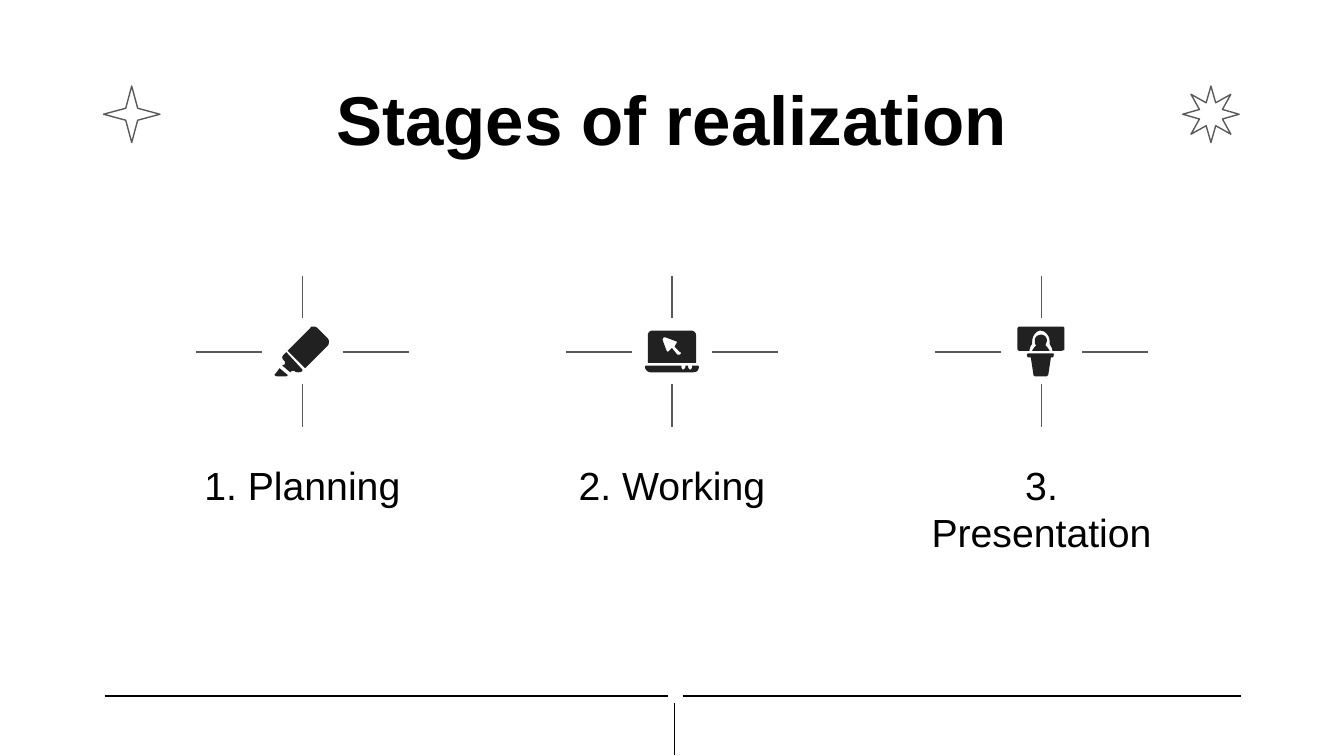
from pptx import Presentation
from pptx.dml.color import RGBColor
from pptx.enum.shapes import MSO_CONNECTOR, MSO_SHAPE
from pptx.enum.text import MSO_ANCHOR, MSO_AUTO_SIZE, PP_ALIGN
from pptx.oxml.ns import qn
from pptx.util import Inches, Pt
from lxml.etree import SubElement

BLACK = RGBColor(0x00, 0x00, 0x00)
GRAY = RGBColor(0x59, 0x59, 0x59)
INK = RGBColor(0x21, 0x21, 0x21)

MID, PITCH, HUB_Y = 5, 2.75, 2.62

# Outlines in 1/100 inch from the hub: "x,y" is a corner, six numbers
# are a Bezier curve, "|" starts another contour.
PEN = [
    "8,-19 7,-19,6,-19,6,-18 -11,-1 2,12 19,-5 20,-6,20,-9,19,-10 11,-18 "
    "10,-19,9,-19,8,-19",
    "-12,0 -13,1 -14,2,-15,3,-15,4 -15,5,-14,6,-13,7 -13,7,-13,8,-13,9 -15,10 "
    "-9,15 -8,14 -6,14 -5,15,-4,15,-3,15 -2,15,-1,15,0,14 0,13",
    "-17,12 -20,16 -21,16,-21,18,-19,18 -12,18 -12,18,-11,18,-11,17",
]
LAPTOP = [
    "-19,10 -20,10,-20,11,-20,11 -20,13,-18,15,-16,15 16,15 18,15,20,14,20,11 "
    "20,11,20,10,19,10 15,10 15,11 15,12,14,13,14,13 13,13,12,12,12,11 12,10 "
    "10,10 10,11 10,12,9,13,8,13 8,13,7,12,7,11 7,10",
    "-6,-11 -5,-11 3,-8 4,-8,4,-7,3,-6 2,-4 6,0 7,0,7,1,6,2 5,2 4,2 0,-3 -2,-1 "
    "-2,-1,-3,0,-3,0 -3,0,-4,-1,-4,-1 -7,-9 -7,-10,-6,-11,-6,-11 | "
    "-14,-16 -16,-16,-18,-15,-18,-12 -18,8 18,8 18,-12 18,-15,16,-16,14,-16",
]
SPEAKER = [
    "-10,1 -10,1,-11,2,-11,2 -11,3,-10,4,-10,4 -8,4 -6,17 -6,17,-6,18,-5,18 "
    "4,18 4,18,5,17,5,17 7,4 8,4 9,4,9,3,9,2 10,2,9,1,8,1",
    "-17,-19 -18,-18 -18,-2 -17,-1 -9,-1 -9,-3,-8,-5,-7,-6 -7,-8 "
    "-7,-12,-4,-16,-1,-16 3,-16,6,-12,6,-8 6,-6 7,-4,8,-3,8,-1 15,-1 "
    "16,-1,17,-2,17,-2 17,-18 16,-19",
    "0,-13 -3,-13,-5,-11,-5,-9 -5,-7,-5,-6,-4,-5 -5,-4,-6,-3,-7,-1 6,-1 "
    "5,-3,4,-4,3,-5 3,-6,4,-7,4,-9 4,-11,2,-13,0,-13",
]
STAGES = [("1. Planning", PEN), ("2. Working", LAPTOP),
          ("3. Presentation", SPEAKER)]


def add_line(shapes, x1, y1, x2, y2, color):
    line = shapes.add_connector(MSO_CONNECTOR.STRAIGHT, Inches(x1), Inches(y1),
                                Inches(x2), Inches(y2))
    line.line.color.rgb = color
    line.line.width = Pt(0.75)
    SubElement(line._element.spPr, qn("a:effectLst"))


def add_star(shapes, kind, x, ratio):
    star = shapes.add_shape(kind, Inches(x), Inches(0.64),
                            Inches(0.42), Inches(0.42))
    star.adjustments[0] = ratio
    star.shadow.inherit = False
    star.fill.background()
    star.line.color.rgb = GRAY
    star.line.width = Pt(0.75)


def set_text(holder, text, x, y, w, h, size, bold=False):
    holder.left, holder.top = Inches(x), Inches(y)
    holder.width, holder.height = Inches(w), Inches(h)
    frame = holder.text_frame
    frame.text = text
    frame.word_wrap = False
    frame.auto_size = MSO_AUTO_SIZE.NONE
    frame.vertical_anchor = MSO_ANCHOR.TOP
    frame.margin_left = frame.margin_right = 0
    frame.margin_top = frame.margin_bottom = 0
    para = frame.paragraphs[0]
    para.alignment = PP_ALIGN.CENTER
    para.space_before = Pt(0)
    para.line_spacing = 1.0
    # No bullet and no indent
    props = para._p.get_or_add_pPr()
    props.set("marL", "0")
    props.set("indent", "0")
    SubElement(props, qn("a:buNone"))
    font = para.runs[0].font
    font.name, font.size, font.bold = "Arial", Pt(size), bold
    font.color.rgb = BLACK


def trace(contour, x, y):
    """Turn one contour into points, with curves cut into short steps."""
    points = []
    for token in contour.split():
        nums = [float(n) / 100 for n in token.split(",")]
        pairs = list(zip(nums[::2], nums[1::2]))
        if len(pairs) == 1:
            points += pairs
            continue
        curve = [points[-1]] + pairs
        for step in range(1, 7):
            t = step / 6
            mix = ((1 - t) ** 3, 3 * t * (1 - t) ** 2, 3 * t * t * (1 - t), t ** 3)
            points.append(tuple(sum(m * p[axis] for m, p in zip(mix, curve))
                                for axis in (0, 1)))
    return [(Inches(x + dx), Inches(y + dy)) for dx, dy in points]


def add_icon(shapes, parts, x, y):
    for part in parts:
        first, *rest = [trace(c, x, y) for c in part.split("|")]
        pen = shapes.build_freeform(*first[0])
        pen.add_line_segments(first[1:])
        for points in rest:
            pen.move_to(*points[0])
            pen.add_line_segments(points[1:])
        shape = pen.convert_to_shape()
        shape.shadow.inherit = False
        shape.fill.solid()
        shape.fill.fore_color.rgb = INK
        shape.line.fill.background()


def add_cross(shapes, x, y):
    for side in (-1, 1):
        add_line(shapes, x + side * 0.3, y, x + side * 0.79, y, GRAY)
    for start, end in ((-0.57, -0.25), (0.24, 0.56)):
        add_line(shapes, x, y + start, x, y + end, GRAY)


def main():
    prs = Presentation()
    prs.slide_width = Inches(10)
    prs.slide_height = prs.slide_width * 9 // 16
    slide = prs.slides.add_slide(prs.slide_layouts[4])
    shapes = slide.shapes

    # Title and stage labels
    title, *labels, spare = slide.placeholders
    spare._element.getparent().remove(spare._element)
    set_text(title, "Stages of realization", 0.78, 0.57, 8.44, 0.54, 37, True)

    # Footer rules
    add_line(shapes, 0.78, 5.18, 4.97, 5.18, BLACK)
    add_line(shapes, 5.08, 5.18, 9.23, 5.18, BLACK)
    add_line(shapes, 5.02, 5.23, 5.02, 5.62, BLACK)

    # Stars beside the title
    add_star(shapes, MSO_SHAPE.STAR_4_POINT, 0.77, 0.15)
    add_star(shapes, MSO_SHAPE.STAR_8_POINT, 8.8, 0.22)

    # Stages: label, cross and icon
    for i, (text, icon) in enumerate(STAGES):
        x = MID + (i - 1) * PITCH
        set_text(labels[i], text, x - 0.98, 3.43, 1.96, 0.34, 21)
        group = shapes.add_group_shape().shapes
        add_cross(group, x, HUB_Y)
        add_icon(group, icon, x, HUB_Y)

    prs.save("out.pptx")


if __name__ == "__main__":
    main()
